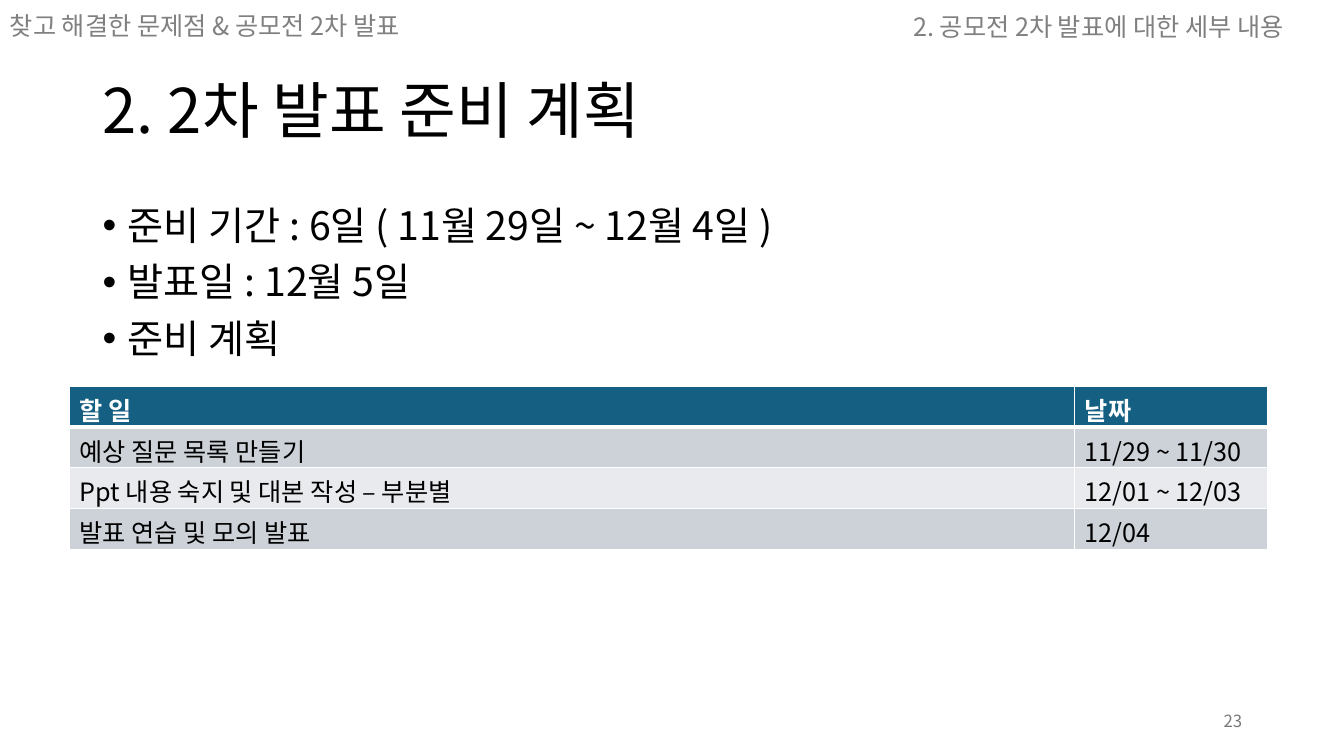
"""Build the slide on the preparation plan for the second presentation."""
from pptx import Presentation, util as u
from pptx.dml.color import RGBColor
from pptx.enum import text
from pptx.oxml import ns, xmlchemy as xml

FONT = "Noto Sans CJK KR"
HUES = {"ink": "000000", "gray": "808080", "page": "797979", "white": "FFFFFF",
        "head": "156082", "odd": "CCD2D8", "even": "E8EAED"}


def style(para, size, hue, bold=False):
    font = para.font
    font.name, font.size, font.bold = FONT, u.Pt(size), bold
    font.color.rgb = RGBColor.from_string(HUES[hue])
    east = xml.OxmlElement("a:ea")
    east.set("typeface", FONT)
    para._p.pPr.find(ns.qn("a:defRPr")).append(east)


def add_text(spot, lines, size, hue, anchor=text.MSO_ANCHOR.TOP):
    box = slide.shapes.add_textbox(*[u.Inches(n) for n in spot])
    frame = box.text_frame
    frame.word_wrap = True
    frame.vertical_anchor = anchor
    frame.text = "\n".join(lines)
    return frame.paragraphs, size, hue


deck = Presentation()
deck.slide_width, deck.slide_height = u.Inches(13.33), u.Inches(7.5)
slide = deck.slides.add_slide(deck.slide_layouts[6])

middle = text.MSO_ANCHOR.MIDDLE
title = add_text((0.92, 0.4, 11.5, 1.45), ["2. 2차 발표 준비 계획"], 44, "ink", middle)
title[0][0].line_spacing = 0.9

plan = add_text((0.92, 2, 11.96, 5.45),
                ["준비 기간 : 6일 ( 11월 29일 ~ 12월 4일 )", "발표일 : 12월 5일", "준비 계획"],
                28, "ink")
for row, para in enumerate(plan[0]):
    para.line_spacing = 0.9
    para.space_before = u.Pt(10 if row else 0)
    props = para._p.get_or_add_pPr()
    props.set("marL", str(u.Inches(0.25)))
    props.set("indent", str(u.Inches(-0.25)))
    face = xml.OxmlElement("a:buFont")
    face.set("typeface", "Arial")
    mark = xml.OxmlElement("a:buChar")
    mark.set("char", "•")
    props.extend([face, mark])

page = add_text((9.42, 6.95, 3, 0.4), ["23"], 12, "page", middle)
page[0][0].alignment = text.PP_ALIGN.RIGHT

part = add_text((8.96, 0.06, 4.38, 0.4), ["2. 공모전 2차 발표에 대한 세부 내용"], 18, "gray")
topic = add_text((0, 0.05, 6.67, 0.4), ["찾고 해결한 문제점 & 공모전 2차 발표"], 18, "gray")

for paras, size, hue in (title, plan, page, part, topic):
    for para in paras:
        style(para, size, hue)

tasks = [("할 일", "날짜"),
         ("예상 질문 목록 만들기", "11/29 ~ 11/30"),
         ("Ppt 내용 숙지 및 대본 작성 – 부분별", "12/01 ~ 12/03"),
         ("발표 연습 및 모의 발표", "12/04")]
table = slide.shapes.add_table(len(tasks), 2, u.Inches(0.69), u.Inches(3.83),
                               u.Inches(11.88), u.Inches(1.62)).table
for col, width in zip(table.columns, (9.97, 1.91)):
    col.width = u.Inches(width)

for row, task in enumerate(tasks):
    fill = "head" if row == 0 else "odd" if row % 2 else "even"
    for col, label in enumerate(task):
        cell = table.cell(row, col)
        cell.text = label
        style(cell.text_frame.paragraphs[0], 18, "ink" if row else "white", row == 0)
        props = cell._tc.get_or_add_tcPr()
        for side in ("lnL", "lnR", "lnT", "lnB"):
            thick = (row, side) in ((0, "lnB"), (1, "lnT"))
            line = xml.OxmlElement("a:" + side)
            line.set("w", str(u.Pt(3 if thick else 1)))
            paint = xml.OxmlElement("a:solidFill")
            tint = xml.OxmlElement("a:srgbClr")
            tint.set("val", HUES["white"])
            paint.append(tint)
            line.append(paint)
            props.append(line)
        cell.fill.solid()
        cell.fill.fore_color.rgb = RGBColor.from_string(HUES[fill])

deck.save("out.pptx")
